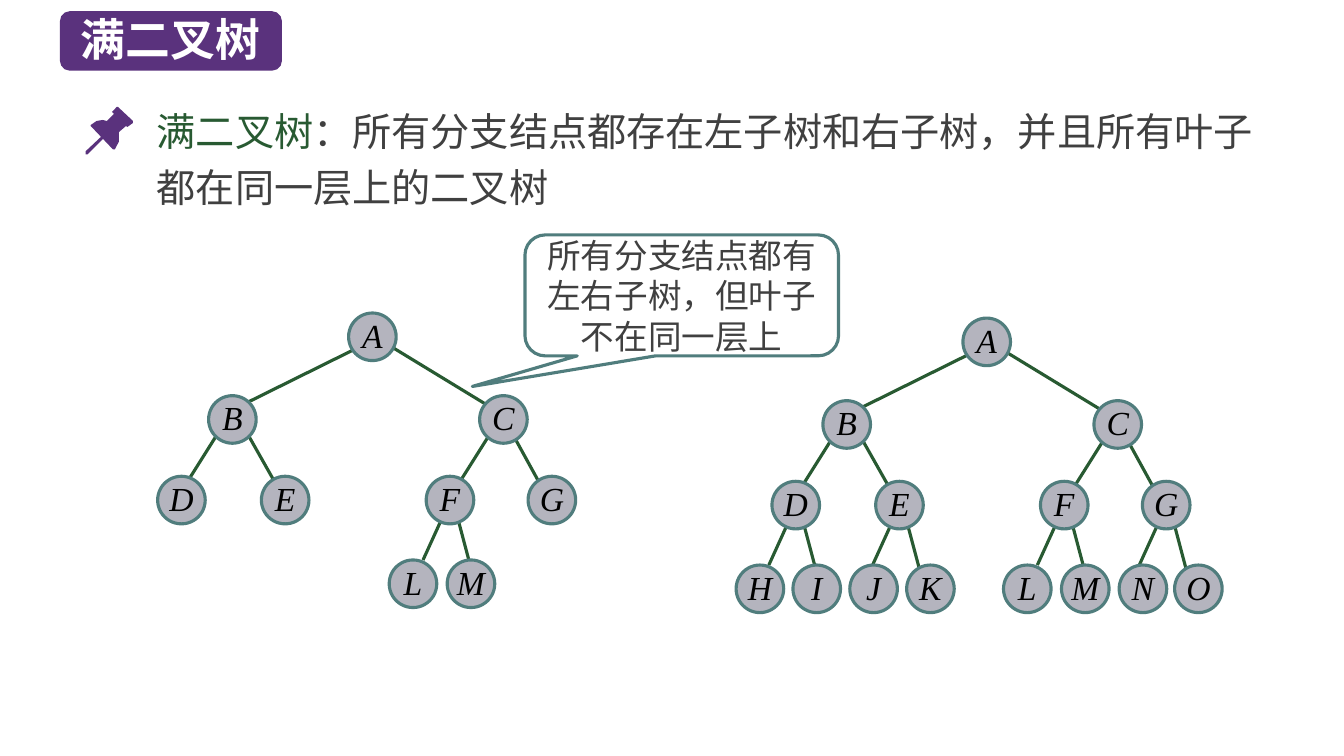
from lxml import etree
from pptx import Presentation
from pptx import util as u
from pptx.dml.color import RGBColor
from pptx.enum import shapes, text
from pptx.oxml.ns import qn

PURPLE = RGBColor(0x5A, 0x32, 0x7D)
GREEN = RGBColor(0x28, 0x5A, 0x32)
TEAL = RGBColor(0x50, 0x7D, 0x7D)
NODE_GREY = RGBColor(0xB4, 0xB4, 0xBE)
TEXT_GREY = RGBColor(0x40, 0x40, 0x40)
BLACK = RGBColor(0, 0, 0)
WHITE = RGBColor(0xFF, 0xFF, 0xFF)
SANS = "Noto Sans CJK SC"
SERIF = "Times New Roman"
Pt = u.Pt


def style_run(run, size, colour, latin=SANS):
    run.font.size = Pt(size)
    run.font.color.rgb = colour
    run.font.name = latin
    etree.SubElement(run.font._element, qn("a:ea"), typeface=SANS)


def add_shape(kind, left, top, width, height, fill=None, outline=None):
    shape = slide.shapes.add_shape(kind, Pt(left), Pt(top), Pt(width), Pt(height))
    shape.shadow.inherit = False
    if fill is None:
        shape.fill.background()
    else:
        shape.fill.solid()
        shape.fill.fore_color.rgb = fill
    if outline is None:
        shape.line.fill.background()
    else:
        shape.line.color.rgb = outline
        shape.line.width = Pt(2.25)
    return shape


presentation = Presentation()
presentation.slide_width = Pt(960)
presentation.slide_height = Pt(540)
slide = presentation.slides.add_slide(presentation.slide_layouts[1])

title = slide.shapes.title
title.left, title.top, title.width, title.height = Pt(50.4), Pt(5), Pt(180), Pt(46)
title.text_frame.text = "满二叉树"
title.text_frame.auto_size = text.MSO_AUTO_SIZE.NONE
title.text_frame.vertical_anchor = text.MSO_ANCHOR.TOP
paragraph = title.text_frame.paragraphs[0]
paragraph.alignment = text.PP_ALIGN.LEFT
style_run(paragraph.runs[0], 32, WHITE)
paragraph.runs[0].font.bold = True

title_plate = add_shape(shapes.MSO_SHAPE.ROUNDED_RECTANGLE, 42.8, 8, 158.6, 42.5, PURPLE)
title._element.addprevious(title_plate._element)

definition = slide.placeholders[1]
definition.left, definition.top = Pt(112), Pt(67)
definition.width, definition.height = Pt(800), Pt(87.8)
frame = definition.text_frame
frame.auto_size = text.MSO_AUTO_SIZE.NONE
frame.margin_left = frame.margin_right = 0
paragraph = frame.paragraphs[0]
properties = paragraph._p.get_or_add_pPr()
properties.set("marL", "0")
properties.set("indent", "0")
etree.SubElement(properties, qn("a:buNone"))
paragraph.line_spacing = Pt(40)
paragraph.space_before = Pt(0)
for words, colour in (
    ("满二叉树", GREEN),
    ("：所有分支结点都存在左子树和右子树，并且所有叶子都在同一层上的二叉树", TEXT_GREY),
):
    run = paragraph.add_run()
    run.text = words
    style_run(run, 28, colour, SERIF)

PIN_HEAD = [
    (95, 86.4), (84.2, 76.3), (83.5, 76.3), (80, 79.9), (81.4, 81.4), (76.3, 86.4),
    (73.4, 85.7), (69, 86.4), (64.8, 89.3), (64.8, 90), (80.6, 106.6), (82.1, 106.6),
    (85, 101), (85, 94.3), (90, 90), (91, 90.7), (95, 87.8),
]
PIN_NEEDLE = [(61.2, 108), (72.7, 97.2), (74.2, 97.2), (74.2, 98.6), (62.6, 110.2), (61.2, 110.2)]
for outline in (PIN_HEAD, PIN_NEEDLE):
    points = [(Pt(x), Pt(y)) for x, y in outline]
    builder = slide.shapes.build_freeform(*points[0])
    builder.add_line_segments(points[1:], close=True)
    pin_part = builder.convert_to_shape()
    pin_part.shadow.inherit = False
    pin_part.fill.solid()
    pin_part.fill.fore_color.rgb = PURPLE
    pin_part.line.fill.background()

NODE_SIZE = 34
LEVELS = [
    (0, {"A": 0}),
    (59, {"B": -100, "C": 93.6}),
    (116.6, {"D": -136.4, "E": -62.3, "F": 55.4, "G": 128.2}),
    (176.4, {"H": -162, "I": -121.4, "J": -80.8, "K": -40.2,
             "L": 29, "M": 70.4, "N": 111.6, "O": 151.2}),
]
NODES = {name: (x, y) for y, level in LEVELS for name, x in level.items()}
CHILDREN = {"A": "BC", "B": "DE", "C": "FG", "D": "HI", "E": "JK", "F": "LM", "G": "NO"}
TOP_EDGES = {
    "A": [(2.9, 26.6, -75.6, 65.5), (28.8, 23, 102.2, 67.7)],
    "B": [(8.6, 23.8, -15.8, 62.6), (27.4, 26.6, 49, 64.8)],
    "C": [(6.5, 28.8, -18, 67.7), (25.9, 31.7, 46.8, 69.8)],
}
LOWER_EDGES = [(11.9, 28.8, -2.2, 59.8), (23.4, 33.1, 32, 65.5)]
TREES = [(687.8, 227.2, "ABCDEFGHIJKLMNO"), (249, 223.6, "ABCDEFGLM")]

for tree_left, tree_top, names in TREES:
    for parent, children in CHILDREN.items():
        for child, edge in zip(children, TOP_EDGES.get(parent, LOWER_EDGES)):
            if child not in names:
                continue
            x, y = tree_left + NODES[parent][0], tree_top + NODES[parent][1]
            x1, y1, x2, y2 = edge
            branch = slide.shapes.add_connector(
                shapes.MSO_CONNECTOR.STRAIGHT, Pt(x + x1), Pt(y + y1), Pt(x + x2), Pt(y + y2))
            branch.line.color.rgb = GREEN
            branch.line.width = Pt(2.25)
            etree.SubElement(branch._element.spPr, qn("a:effectLst"))
    for name in names:
        x, y = NODES[name]
        node = add_shape(shapes.MSO_SHAPE.OVAL, tree_left + x, tree_top + y,
                         NODE_SIZE, NODE_SIZE, NODE_GREY, TEAL)
        frame = node.text_frame
        frame.margin_left = frame.margin_right = frame.margin_top = frame.margin_bottom = 0
        frame.vertical_anchor = text.MSO_ANCHOR.TOP
        frame.text = name
        paragraph = frame.paragraphs[0]
        paragraph.alignment = text.PP_ALIGN.CENTER
        paragraph.line_spacing = Pt(25)
        style_run(paragraph.runs[0], 24, BLACK, SERIF)
        paragraph.runs[0].font.italic = True

callout = add_shape(shapes.MSO_SHAPE.ROUNDED_RECTANGULAR_CALLOUT,
                    375, 167.8, 224, 86.4, outline=TEAL)
for index, value in enumerate((-0.668, 0.753, 0.167)):
    callout.adjustments[index] = value
callout.text_frame.text = "所有分支结点都有左右子树，但叶子不在同一层上"
callout.text_frame.word_wrap = True
callout.text_frame.vertical_anchor = text.MSO_ANCHOR.MIDDLE
paragraph = callout.text_frame.paragraphs[0]
paragraph.alignment = text.PP_ALIGN.CENTER
style_run(paragraph.runs[0], 24, TEXT_GREY)

presentation.save("out.pptx")
